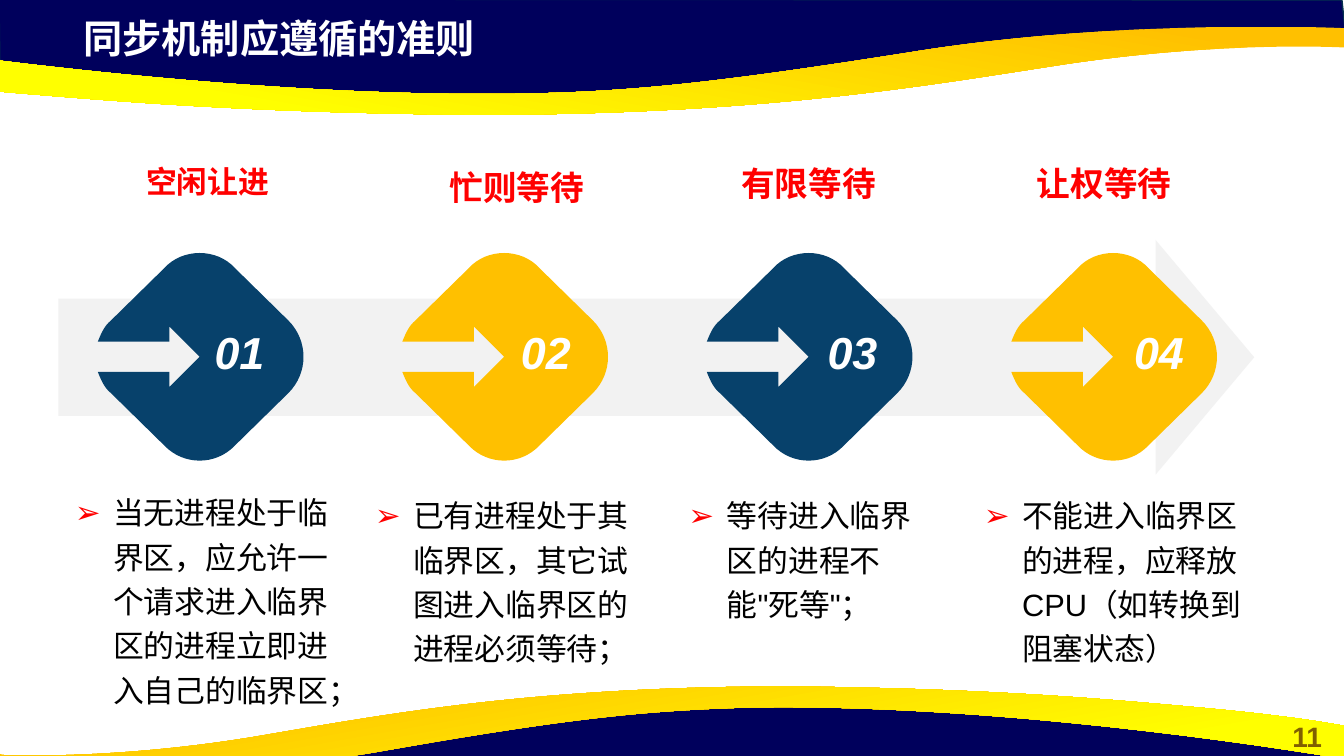
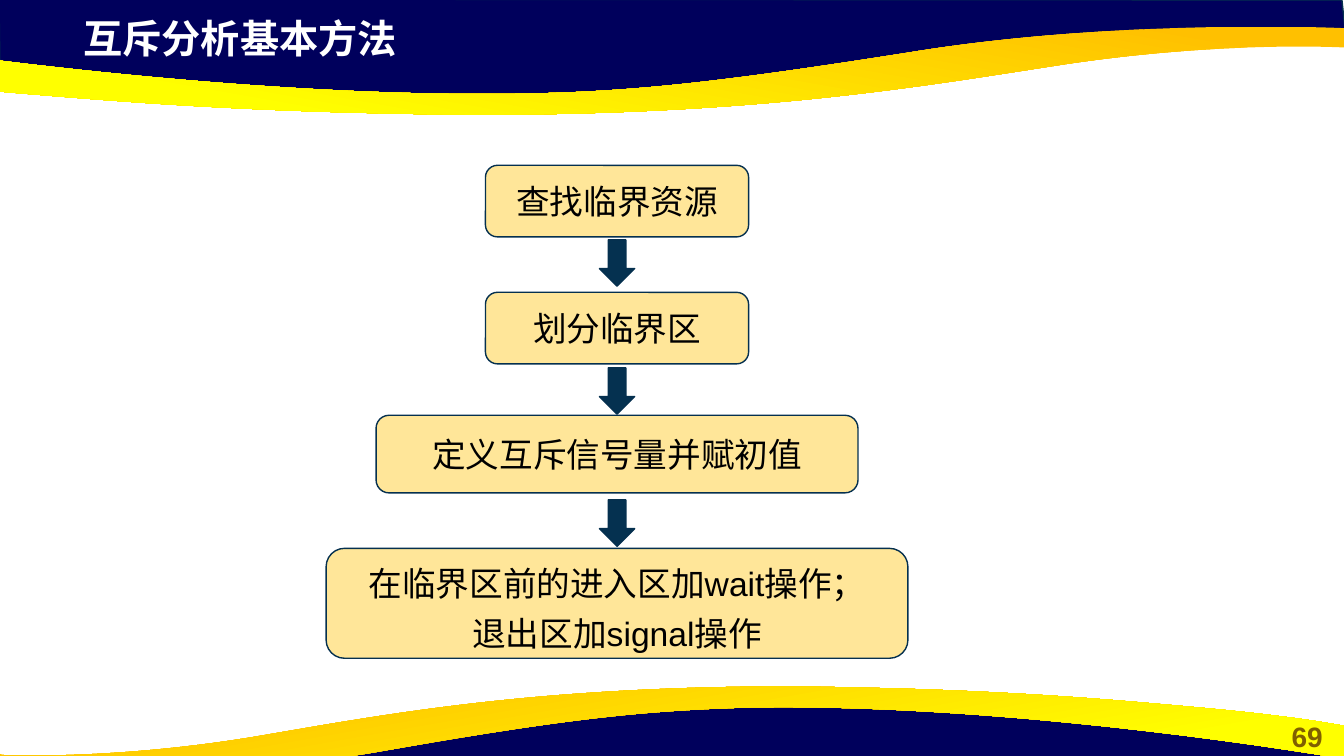
from dataclasses import dataclass

import pptx
import pptx.dml.color
import pptx.enum.shapes
import pptx.enum.text
import pptx.oxml
import pptx.oxml.ns
import pptx.util

Inches = pptx.util.Inches
Pt = pptx.util.Pt
RGB = pptx.dml.color.RGBColor.from_string
SHAPE = pptx.enum.shapes.MSO_SHAPE
ALIGN = pptx.enum.text.PP_ALIGN
MIDDLE = pptx.enum.text.MSO_ANCHOR.MIDDLE
NS = pptx.oxml.ns.nsdecls("a")


@dataclass(frozen=True)
class Theme:
    font: str = "Arial"
    navy: str = "00005C"
    edge: str = "05304F"
    arrow: str = "053150"
    blue: str = "07416B"
    gold: str = "FFC000"
    yellow: str = "FFFF00"
    cream: str = "FFE699"
    grey: str = "F2F2F2"
    red: str = "FF0000"
    white: str = "FFFFFF"
    black: str = "000000"
    page: str = "806000"
    title_size: int = 28
    number_size: int = 32
    label_size: int = 24
    body_size: int = 22
    page_size: int = 20


T = Theme()


def outline(s, path, dx=0, dy=0):
    """Add a closed freeform; 2 numbers are a line, 6 a Bezier curve."""
    points = [(Inches(seg[i] + dx), Inches(seg[i + 1] + dy))
              for seg in path for i in range(0, len(seg), 2)]
    builder = s.shapes.build_freeform(*points[0], scale=1.0)
    builder.add_line_segments(points[1:], close=True)
    sp = builder.convert_to_shape()
    lines = iter(sp.element.xpath(".//a:lnTo"))
    for seg in path[1:]:
        nodes = [next(lines) for _ in range(len(seg) // 2)]
        if len(nodes) == 3:
            curve = pptx.oxml.parse_xml(f"<a:cubicBezTo {NS}/>")
            nodes[0].addprevious(curve)
            for node in nodes:
                curve.append(node[0])
                node.getparent().remove(node)
    sp.shadow.inherit = False
    sp.line.fill.background()
    return sp


def write(sp, lines, size, color, bold=False, italic=False,
          align=ALIGN.CENTER, spacing=None, bullet=False):
    tf = sp.text_frame
    tf.word_wrap = True
    for i, line in enumerate(lines):
        p = tf.add_paragraph() if i else tf.paragraphs[0]
        p.alignment = align
        if bullet:
            pPr = p._p.get_or_add_pPr()
            pPr.set("marL", str(Inches(0.38)))
            pPr.set("indent", str(Inches(-0.38)))
            for xml in (f'<a:buClr {NS}><a:srgbClr val="{T.red}"/></a:buClr>',
                        f'<a:buFont {NS} typeface="{T.font}"/>',
                        f'<a:buChar {NS} char="➢"/>'):
                pPr.append(pptx.oxml.parse_xml(xml))
        if spacing:
            p.line_spacing = spacing
        r = p.add_run()
        r.text = line
        r.font.name = T.font
        r.font.size = Pt(size)
        r.font.bold = bold
        r.font.italic = italic
        r.font.color.rgb = RGB(color)


prs = pptx.Presentation()
prs.slide_width = Inches(13.33)
prs.slide_height = Inches(7.5)
layout = prs.slide_layouts[6]
for placeholder in list(layout.placeholders):
    layout.shapes.element.remove(placeholder.element)

# Slides with their titles and page numbers
slides = []
for title, page in (("同步机制应遵循的准则", "11"), ("互斥分析基本方法", "69")):
    s = prs.slides.add_slide(layout)
    sp = s.shapes.add_textbox(Inches(12.6), Inches(7.09), Inches(0.73), Inches(0.44))
    write(sp, [page], T.page_size, T.page, bold=True)
    sp = s.shapes.add_textbox(Inches(0.73), Inches(0.09), Inches(7.68), Inches(0.57))
    write(sp, [title], T.title_size, T.white, bold=True, align=ALIGN.LEFT)
    slides.append(s)
criteria, method = slides

# Bands at top and bottom, kept on the shared layout
navy_top = [(-0.01, -0.01), (0, 0.7), (2.93, 1.02), (5.59, 1), (7.95, 0.88),
            (10.16, 0.5), (12.38, 0.33), (13.35, 0.38), (13.31, 0)]
navy_bottom = [(13.32 - x, 7.93 - y) for x, y in navy_top]
gold_top = [
    (4.83, 1.14), (4.43, 1.14, 4.01, 1.13, 3.56, 1.12),
    (2.06, 1.08, 1.1, 1, 0.36, 0.94), (-0.88, 0.84, -1.3, 0.75, -1.33, 0.75),
    (-1.33, 0.42), (-1.33, 0.42, 2.18, 0.98, 5.17, 0.93),
    (6.26, 0.91, 7.08, 0.83, 9.15, 0.5), (11.21, 0.18, 13.33, 0.28, 13.33, 0.28),
    (13.33, 0.47), (13.3, 0.47), (13.05, 0.46, 11.95, 0.43, 10.55, 0.64),
    (9.18, 0.85, 7.62, 1.13, 4.83, 1.14)]
gold_bottom = [
    (7.72, 6.81), (8.09, 6.81, 8.47, 6.82, 8.88, 6.83),
    (10.25, 6.87, 11.12, 6.95, 11.79, 7.01), (12.92, 7.11, 13.3, 7.2, 13.33, 7.2),
    (13.33, 7.53), (13.33, 7.53, 10.14, 6.97, 7.42, 7.02),
    (6.42, 7.05, 5.67, 7.12, 3.8, 7.45), (1.92, 7.78, -0.01, 7.68, -0.01, 7.68),
    (-0.01, 7.48), (0.02, 7.49), (0.25, 7.5, 1.25, 7.52, 2.52, 7.31),
    (3.76, 7.1, 5.19, 6.82, 7.72, 6.81)]
for navy, gold, angle in ((navy_top, gold_top, 260), (navy_bottom, gold_bottom, 280)):
    navy_band = outline(criteria, navy)
    navy_band.fill.solid()
    navy_band.fill.fore_color.rgb = RGB(T.navy)
    navy_band.line.color.rgb = RGB(T.edge)
    navy_band.line.width = Pt(1)
    gold_band = outline(criteria, gold)
    gold_band.fill.gradient()
    gold_band.fill.gradient_angle = angle
    for stop, position, color in zip(gold_band.fill.gradient_stops,
                                     (0.11, 0.78), (T.gold, T.yellow)):
        stop.position = position
        stop.color.rgb = RGB(color)
    for band in (navy_band, gold_band):
        layout.shapes.element.append(band.element)

# Four criteria along an arrow
sp = criteria.shapes.add_shape(SHAPE.RIGHT_ARROW, Inches(0.58), Inches(2.38),
                               Inches(11.86), Inches(2.33))
sp.adjustments[0] = 0.5
sp.adjustments[1] = 0.42
sp.shadow.inherit = False
sp.fill.solid()
sp.fill.fore_color.rgb = RGB(T.grey)
sp.line.fill.background()

# Rounded diamond with an arrow cut out, around its centre
diamond = [
    (0, -1.03), (0.13, -1.03, 0.26, -0.98, 0.35, -0.88), (0.88, -0.36),
    (1.08, -0.16, 1.08, 0.16, 0.88, 0.36), (0.35, 0.88),
    (0.16, 1.08, -0.16, 1.08, -0.35, 0.88), (-0.88, 0.36),
    (-0.94, 0.31, -0.97, 0.25, -1.01, 0.15), (-0.3, 0.15),
    (-0.3, 0.3), (0, 0), (-0.3, -0.3), (-0.3, -0.15), (-1.01, -0.15),
    (-0.97, -0.25, -0.94, -0.31, -0.88, -0.36), (-0.35, -0.88),
    (-0.26, -0.98, -0.13, -1.03, 0, -1.03)]

# heading, left, width, size, spacing; body, left, top, width, alignment
columns = [
    (("空闲让进", 0.84, 2.44, T.body_size, None),
     ("当无进程处于临界区，应允许一个请求进入临界区的进程立即进入自己的临界区；",
      0.58, 4.78, 2.84, ALIGN.CENTER)),
    (("忙则等待", 4.17, 1.91, T.label_size, 1.1),
     ("已有进程处于其临界区，其它试图进入临界区的进程必须等待；",
      3.62, 4.81, 2.86, ALIGN.LEFT)),
    (("有限等待", 6.73, 2.58, T.label_size, None),
     ("等待进入临界区的进程不能\"死等\"；", 6.73, 4.81, 2.68, ALIGN.LEFT)),
    (("让权等待", 9.26, 3.38, T.label_size, None),
     ("不能进入临界区的进程，应释放CPU（如转换到阻塞状态）",
      9.66, 4.81, 2.81, ALIGN.LEFT)),
]
for i, (heading, body) in enumerate(columns):
    sp = outline(criteria, diamond, 1.98 + 3.02 * i, 3.54)
    sp.fill.solid()
    sp.fill.fore_color.rgb = RGB(T.gold if i % 2 else T.blue)

    sp = criteria.shapes.add_textbox(Inches(1.99 + 3.04 * i), Inches(3.12),
                                     Inches(0.77), Inches(0.74))
    sp.text_frame.vertical_anchor = MIDDLE
    write(sp, [f"{i + 1:02d}"], T.number_size, T.white, bold=True, italic=True)

    text, left, width, size, spacing = heading
    sp = criteria.shapes.add_textbox(Inches(left), Inches(1.57), Inches(width), Inches(0.43))
    write(sp, [text], size, T.red, bold=True, spacing=spacing)

    text, left, top, width, align = body
    sp = criteria.shapes.add_textbox(Inches(left), Inches(top), Inches(width), Inches(1.6))
    write(sp, [text], T.body_size, T.black, align=align, spacing=1.2, bullet=True)

# Flow of steps, all centred on one axis
axis = 6.12
steps = [
    (SHAPE.ROUNDED_RECTANGLE, 1.64, 2.61, 0.71, ["查找临界资源"], None),
    (SHAPE.ROUNDED_RECTANGLE, 2.9, 2.61, 0.71, ["划分临界区"], None),
    (SHAPE.ROUNDED_RECTANGLE, 4.12, 4.78, 0.77, ["定义互斥信号量并赋初值"], None),
    (SHAPE.ROUNDED_RECTANGLE, 5.44, 5.77, 1.09,
     ["在临界区前的进入区加wait操作；", "退出区加signal操作"], 1.23),
]
arrows = [(SHAPE.DOWN_ARROW, top, 0.35, 0.46, [], None) for top in (2.38, 3.65, 4.96)]
for kind, top, width, height, lines, spacing in steps + arrows:
    sp = method.shapes.add_shape(kind, Inches(axis - width / 2), Inches(top),
                                 Inches(width), Inches(height))
    sp.shadow.inherit = False
    sp.fill.solid()
    sp.fill.fore_color.rgb = RGB(T.cream if lines else T.arrow)
    sp.line.color.rgb = RGB(T.edge)
    sp.line.width = Pt(1)
    sp.text_frame.vertical_anchor = MIDDLE
    write(sp, lines, T.label_size, T.black, spacing=spacing)

prs.save("out.pptx")
